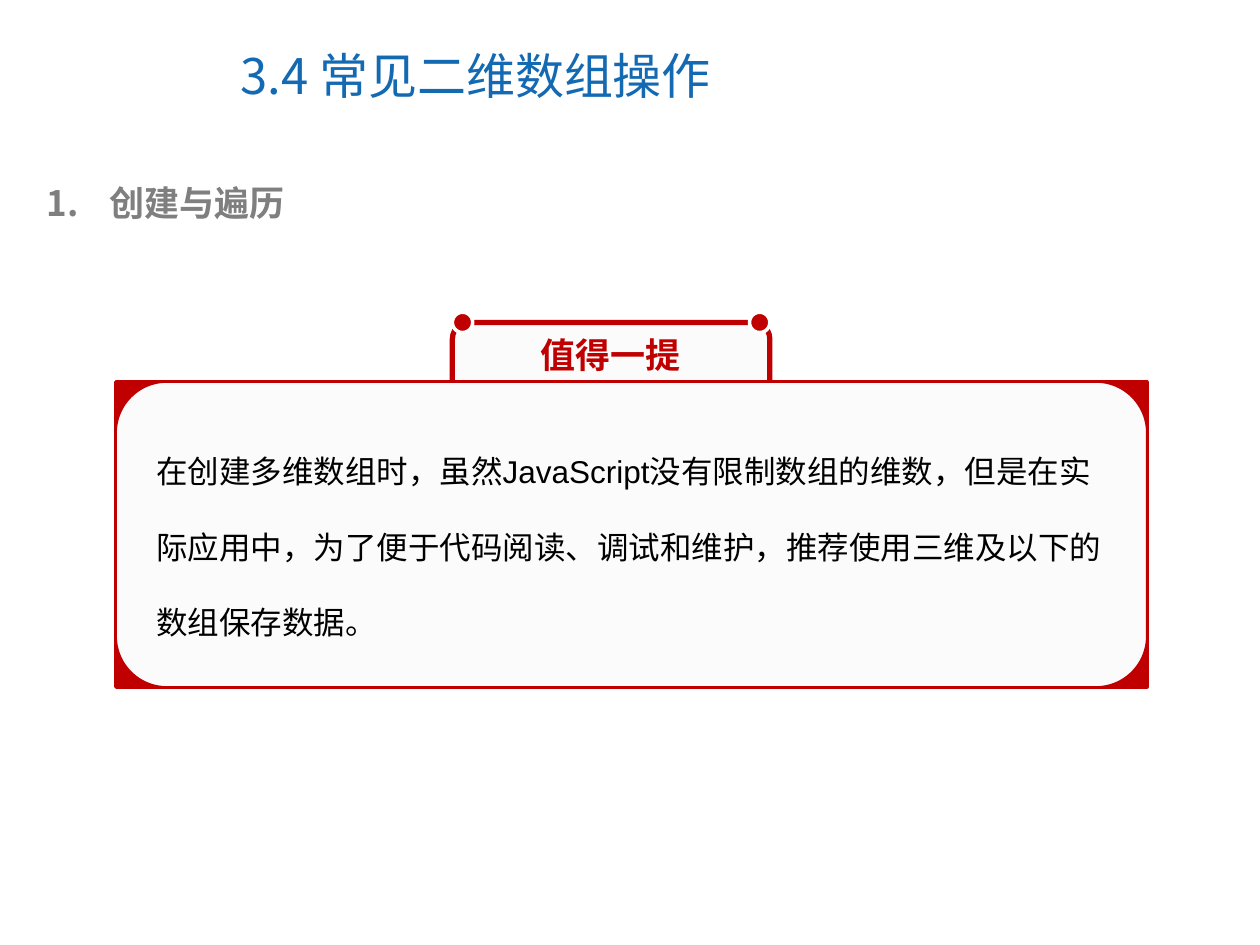
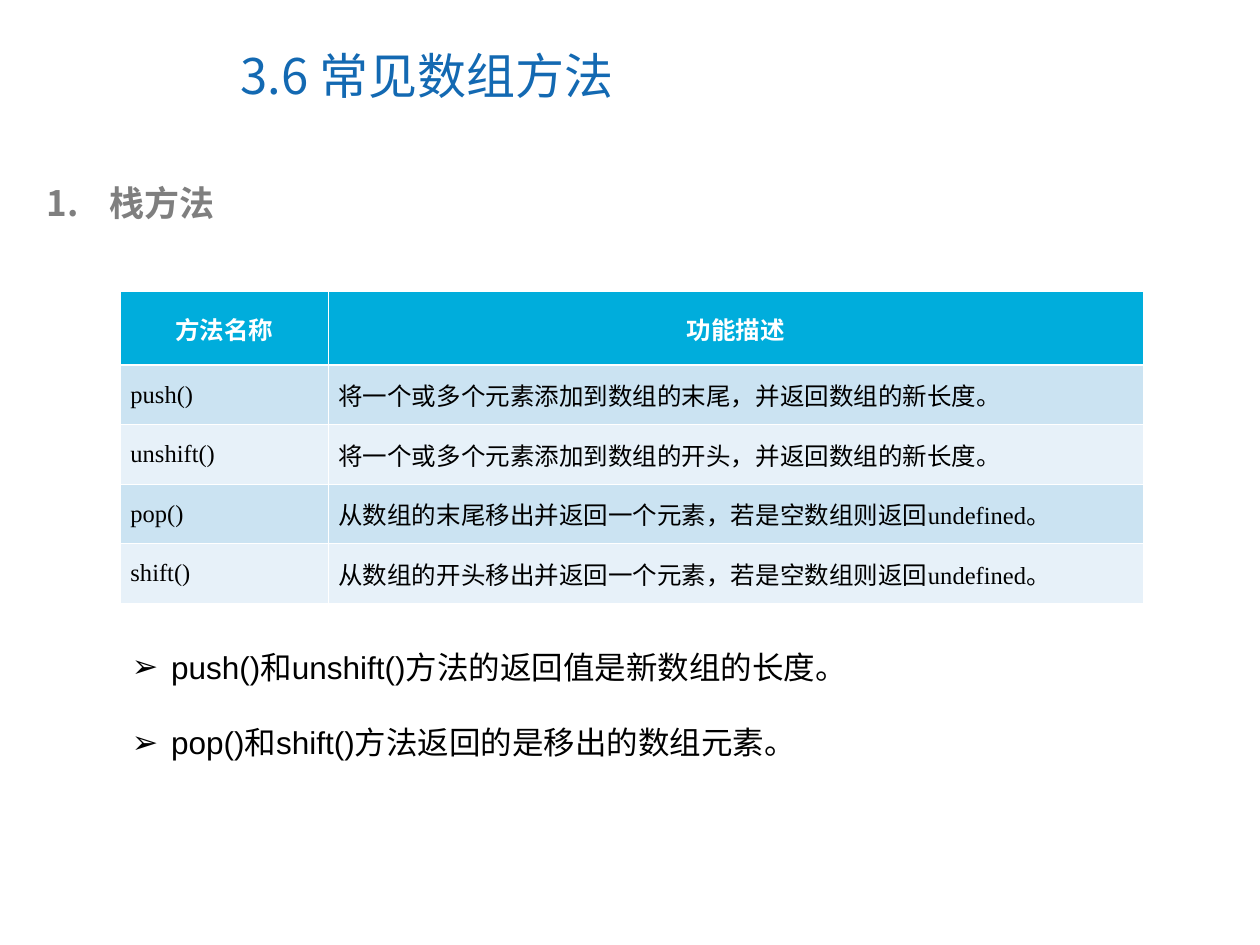
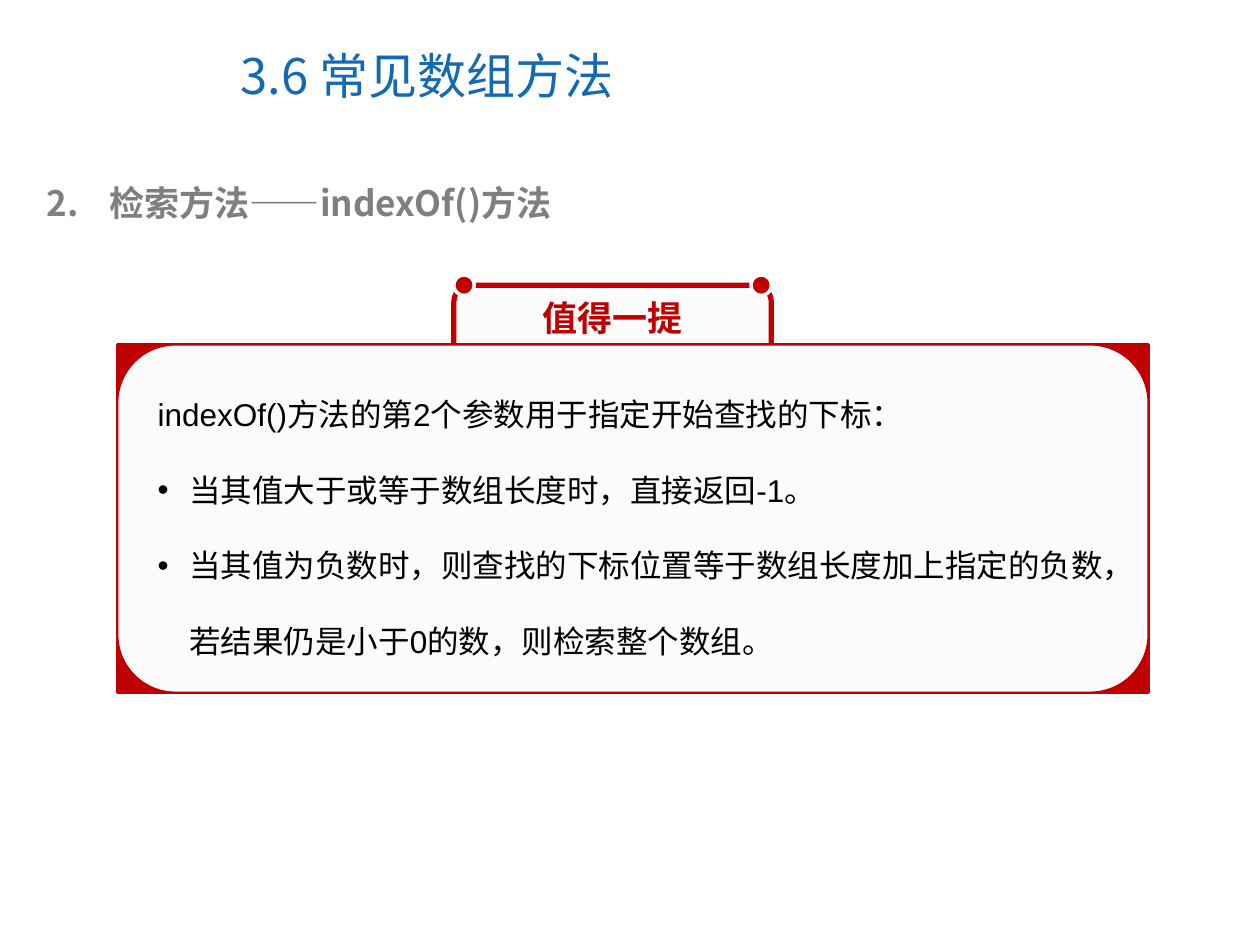
from dataclasses import dataclass

import lxml.etree
import pptx
import pptx.dml.color
import pptx.enum.shapes
import pptx.enum.text
import pptx.oxml.ns
import pptx.util

Cm = pptx.util.Cm
Pt = pptx.util.Pt
ANCHOR = pptx.enum.text.MSO_ANCHOR
ALIGN = pptx.enum.text.PP_ALIGN
SHAPE = pptx.enum.shapes.MSO_SHAPE


@dataclass(frozen=True)
class Theme:
    title_color: str = "1369B2"
    heading_color: str = "7F7F7F"
    accent: str = "C00000"
    panel: str = "FBFBFB"
    text: str = "000000"
    white: str = "FFFFFF"
    table_header: str = "00ADDC"
    table_bands: tuple = ("CBE3F2", "E7F1F9")
    chinese_font: str = "Noto Sans CJK SC"
    body_font: str = "Arial"
    header_font: str = "Lato"
    cell_font: str = "Times New Roman"
    title_size: int = 28
    heading_size: int = 20
    body_size: int = 18
    cell_size: int = 14


THEME = Theme()


# Shared helpers
def rgb(color):
    return pptx.dml.color.RGBColor.from_string(color)


def add_element(parent, tag, **attributes):
    element = lxml.etree.SubElement(parent, pptx.oxml.ns.qn(tag))
    for name, value in attributes.items():
        element.set(name, str(value))
    return element


def style_paragraph(paragraph, size, color, name, bold=False):
    font = paragraph.font
    font.size = Pt(size)
    font.bold = bold
    font.color.rgb = rgb(color)
    font.name = name
    defaults = paragraph._p.pPr.find(pptx.oxml.ns.qn("a:defRPr"))
    add_element(defaults, "a:ea", typeface=THEME.chinese_font)


def add_bullet(paragraph, indent, color, character=None, number=None):
    properties = paragraph._p.get_or_add_pPr()
    properties.set("marL", str(Cm(indent)))
    properties.set("indent", str(-Cm(indent)))
    add_element(add_element(properties, "a:buClr"), "a:srgbClr", val=color)
    if character:
        add_element(properties, "a:buFont", typeface=THEME.body_font)
        add_element(properties, "a:buChar", char=character)
    else:
        add_element(properties, "a:buAutoNum", type="arabicPeriod", startAt=number)


def add_text_frame(slide, left, top, width, height, wrap=True):
    box = slide.shapes.add_textbox(Cm(left), Cm(top), Cm(width), Cm(height))
    box.text_frame.word_wrap = wrap
    return box.text_frame


def add_body(slide, box, items, indent):
    """Each item is a (bullet character or None, text) pair."""
    text_frame = add_text_frame(slide, *box)
    for index, (bullet, text) in enumerate(items):
        paragraph = text_frame.paragraphs[0] if index == 0 else text_frame.add_paragraph()
        paragraph.text = text
        paragraph.line_spacing = 2.0
        if bullet:
            add_bullet(paragraph, indent, THEME.text, character=bullet)
        style_paragraph(paragraph, THEME.body_size, THEME.text, THEME.body_font)


def add_filled_shape(slide, kind, box, fill, line, line_width):
    shape = slide.shapes.add_shape(kind, *(Cm(length) for length in box))
    shape.shadow.inherit = False
    shape.fill.solid()
    shape.fill.fore_color.rgb = rgb(fill)
    shape.line.color.rgb = rgb(line)
    shape.line.width = Pt(line_width)
    return shape


# Title and numbered heading
def add_headed_slide(presentation, title, number, heading):
    slide = presentation.slides.add_slide(presentation.slide_layouts[6])

    title_frame = add_text_frame(slide, 4.6, 0.43, 13.1, 2.16)
    title_frame.vertical_anchor = ANCHOR.MIDDLE
    title_frame.text = title
    style_paragraph(title_frame.paragraphs[0], THEME.title_size,
                    THEME.title_color, THEME.chinese_font)

    heading_frame = add_text_frame(slide, 0.69, 3.53, 23.42, 1.12)
    heading_frame.text = heading
    paragraph = heading_frame.paragraphs[0]
    add_bullet(paragraph, 1.27, THEME.heading_color, number=number)
    style_paragraph(paragraph, THEME.heading_size, THEME.heading_color,
                    THEME.chinese_font, bold=True)
    return slide


# Red framed note with a tab on top
def add_note(slide, box, text_offset, text_size, items):
    left, top, width, height = box
    tab_left, tab_top, tab_width, tab_height = left + 6.78, top - 1.2, 6.4, 2.0
    dot = 0.41

    add_filled_shape(slide, SHAPE.ROUNDED_RECTANGLE,
                     (tab_left, tab_top, tab_width, tab_height),
                     THEME.panel, THEME.accent, 3)
    add_filled_shape(slide, SHAPE.FLOWCHART_PROCESS, box, THEME.accent, THEME.accent, 2)
    add_filled_shape(slide, SHAPE.FLOWCHART_ALTERNATE_PROCESS, box,
                     THEME.panel, THEME.accent, 1)

    # Dots on the corners of the tab
    for dot_left in (tab_left, tab_left + tab_width - dot):
        add_filled_shape(slide, SHAPE.OVAL, (dot_left, tab_top - dot / 2, dot, dot),
                         THEME.accent, THEME.white, 2)

    label = add_text_frame(slide, tab_left + 1.53, tab_top + 0.1, 3.33, 1.12, wrap=False)
    label.text = "值得一提"
    style_paragraph(label.paragraphs[0], THEME.heading_size, THEME.accent,
                    THEME.chinese_font, bold=True)

    text_box = (left + text_offset[0], top + text_offset[1], *text_size)
    add_body(slide, text_box, items, indent=0.64)


# Table of methods
def set_borders(cell, top, bottom):
    properties = cell._tc.get_or_add_tcPr()
    widths = {"a:lnL": 0.45, "a:lnR": 0.45, "a:lnT": top, "a:lnB": bottom}
    for tag, width in widths.items():
        line = add_element(properties, tag, w=Pt(width))
        add_element(add_element(line, "a:solidFill"), "a:srgbClr", val=THEME.white)


def add_method_table(slide, left, top, column_widths, header_height, row_height, rows):
    height = header_height + row_height * (len(rows) - 1)
    table = slide.shapes.add_table(len(rows), len(column_widths), Cm(left), Cm(top),
                                   Cm(sum(column_widths)), Cm(height)).table
    table.first_row = False
    table.horz_banding = False
    for column, width in zip(table.columns, column_widths):
        column.width = Cm(width)

    for row_index, values in enumerate(rows):
        is_header = row_index == 0
        table.rows[row_index].height = Cm(header_height if is_header else row_height)
        fill = THEME.table_header if is_header else THEME.table_bands[(row_index - 1) % 2]
        for column_index, value in enumerate(values):
            cell = table.cell(row_index, column_index)
            set_borders(cell, top=1.47 if row_index == 1 else 0.45,
                        bottom=1.47 if is_header else 0.45)
            cell.fill.solid()
            cell.fill.fore_color.rgb = rgb(fill)
            cell.vertical_anchor = ANCHOR.MIDDLE
            cell.margin_left = cell.margin_right = Cm(0.2)
            cell.text = value
            paragraph = cell.text_frame.paragraphs[0]
            if is_header:
                paragraph.alignment = ALIGN.CENTER
                name = (THEME.header_font, THEME.chinese_font)[column_index]
                style_paragraph(paragraph, THEME.cell_size, THEME.white, name, bold=True)
            else:
                style_paragraph(paragraph, THEME.cell_size, THEME.text, THEME.cell_font)


def main():
    presentation = pptx.Presentation()
    presentation.slide_width = Cm(25.4)
    presentation.slide_height = Cm(19.05)

    # Creating and walking through arrays
    slide = add_headed_slide(presentation, "3.4 常见二维数组操作", 1, "创建与遍历")
    add_note(slide, (2.34, 7.7, 20.78, 6.15), (0.56, 0.53), (19.94, 4.83), [
        (None, "在创建多维数组时，虽然JavaScript没有限制数组的维数，但是在实际应用中，"
               "为了便于代码阅读、调试和维护，推荐使用三维及以下的数组保存数据。"),
    ])

    # Stack methods
    slide = add_headed_slide(presentation, "3.6 常见数组方法", 1, "栈方法")
    add_method_table(slide, 2.43, 5.88, (4.19, 16.43), 1.48, 1.2, [
        ("方法名称", "功能描述"),
        ("push()", "将一个或多个元素添加到数组的末尾，并返回数组的新长度。"),
        ("unshift()", "将一个或多个元素添加到数组的开头，并返回数组的新长度。"),
        ("pop()", "从数组的末尾移出并返回一个元素，若是空数组则返回undefined。"),
        ("shift()", "从数组的开头移出并返回一个元素，若是空数组则返回undefined。"),
    ])
    add_body(slide, (2.41, 12.17, 20.88, 3.3), [
        ("➢", "push()和unshift()方法的返回值是新数组的长度。"),
        ("➢", "pop()和shift()方法返回的是移出的数组元素。"),
    ], indent=0.79)

    # Search methods
    slide = add_headed_slide(presentation, "3.6 常见数组方法", 2, "检索方法——indexOf()方法")
    add_note(slide, (2.37, 6.95, 20.78, 7.01), (0.56, 0.13), (20.52, 6.35), [
        (None, "indexOf()方法的第2个参数用于指定开始查找的下标："),
        ("•", "当其值大于或等于数组长度时，直接返回-1。"),
        ("•", "当其值为负数时，则查找的下标位置等于数组长度加上指定的负数，"
              "若结果仍是小于0的数，则检索整个数组。"),
    ])

    presentation.save("out.pptx")


if __name__ == "__main__":
    main()
